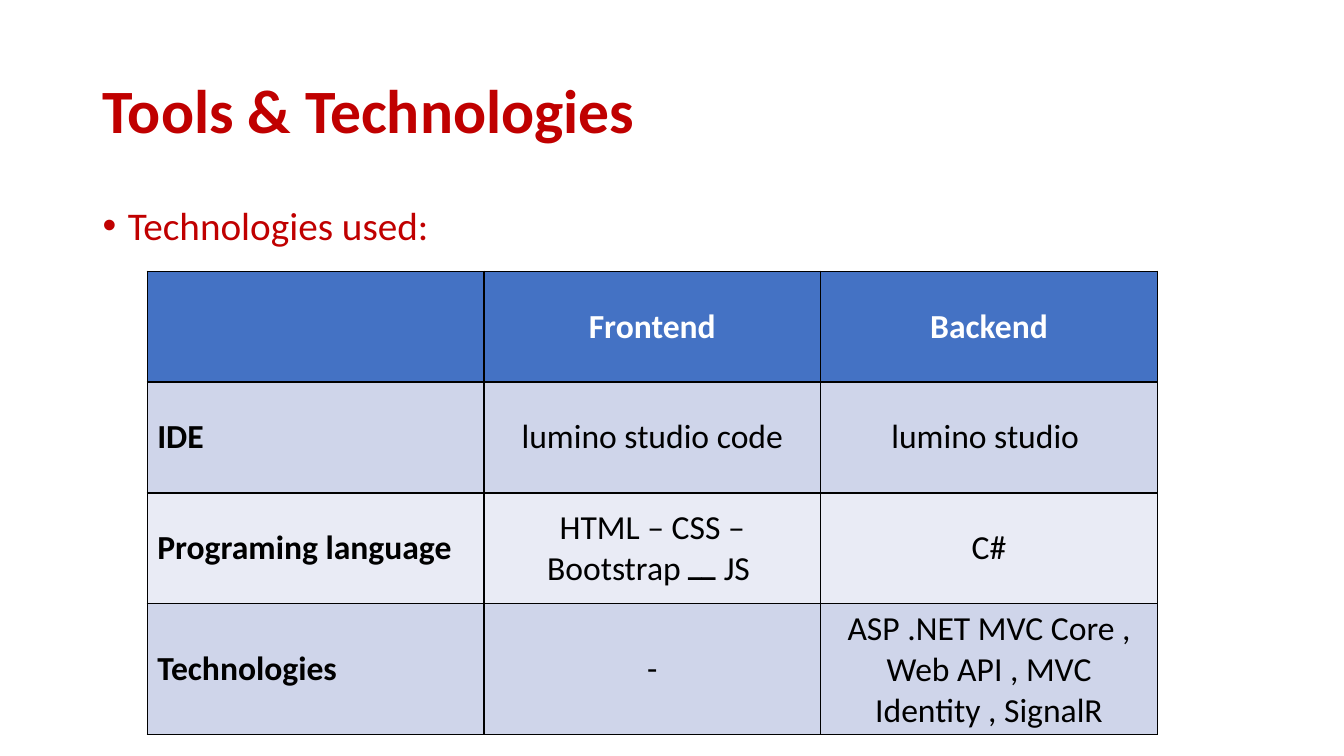
from dataclasses import dataclass

from lxml.etree import SubElement
from pptx import Presentation
from pptx.dml.color import RGBColor
from pptx.enum.text import MSO_ANCHOR, MSO_AUTO_SIZE, PP_ALIGN
from pptx.oxml.ns import qn
from pptx.util import Inches, Pt

TITLE = "Tools & Technologies"
LEAD = "Technologies used:"
ROWS = [
    ("", "Frontend", "Backend"),
    ("IDE", "lumino studio code", "lumino studio "),
    ("Programing language ", "HTML – CSS – Bootstrap \u0640\u0640 JS ", "C#"),
    ("Technologies", "-", "ASP .NET MVC Core , Web API , MVC Identity , SignalR"),
]


@dataclass(frozen=True)
class Theme:
    """Colours, font and type sizes of the slide."""
    font: str = "Calibri"
    accent: str = "C00000"
    header: str = "4472C4"
    header_text: str = "FFFFFF"
    text: str = "000000"
    border: str = "000000"
    bands: tuple = ("E9EBF5", "CFD5EA")
    title_size: int = 44
    lead_size: int = 28
    cell_size: int = 24


THEME = Theme()
LEFT, WIDTH = 0.92, 11.5
TABLE_LEFT, TABLE_TOP = 1.46, 2.69
COL_WIDTH, ROW_HEIGHT = 3.34, 1.1


def place(shape, left, top, width, height):
    """Set the position and size of a shape in inches."""
    shape.left, shape.top = Inches(left), Inches(top)
    shape.width, shape.height = Inches(width), Inches(height)


def write(tf, text, size, color, bold=False, align=PP_ALIGN.LEFT):
    """Fill a text frame with one formatted paragraph and return it."""
    tf.text = text
    p = tf.paragraphs[0]
    p.alignment = align
    for font in [p.font] + [r.font for r in p.runs]:
        font.name, font.size, font.bold = THEME.font, Pt(size), bold
        font.color.rgb = RGBColor.from_string(color)
    return p


def add_bullet(p):
    """Give a paragraph a hanging round bullet."""
    pPr = p._p.get_or_add_pPr()
    pPr.set("marL", str(Inches(0.25)))
    pPr.set("indent", str(Inches(-0.25)))
    bullet_font = pPr.makeelement(qn("a:buFont"), {"typeface": "Arial"})
    bullet = pPr.makeelement(qn("a:buChar"), {"char": "•"})
    at = pPr.index(pPr.find(qn("a:defRPr")))
    pPr[at:at] = [bullet_font, bullet]


def add_borders(cell):
    """Draw a thin line on all four sides of a cell, ahead of its fill."""
    tcPr = cell._tc.get_or_add_tcPr()
    for i, side in enumerate(("lnL", "lnR", "lnT", "lnB")):
        line = tcPr.makeelement(qn(f"a:{side}"), {"w": str(Pt(1))})
        fill = SubElement(line, qn("a:solidFill"))
        SubElement(fill, qn("a:srgbClr"), val=THEME.border)
        tcPr.insert(i, line)


def add_tools_table(s):
    """Add the table with a header row, bold labels and banded rows."""
    n_rows, n_cols = len(ROWS), len(ROWS[0])
    table = s.shapes.add_table(
        n_rows, n_cols, Inches(TABLE_LEFT), Inches(TABLE_TOP),
        Inches(n_cols * COL_WIDTH), Inches(n_rows * ROW_HEIGHT)).table
    for col in table.columns:
        col.width = Inches(COL_WIDTH)
    for i, row in enumerate(ROWS):
        table.rows[i].height = Inches(ROW_HEIGHT)
        is_header = i == 0
        band = THEME.header if is_header else THEME.bands[i % 2]
        color = THEME.header_text if is_header else THEME.text
        for j, text in enumerate(row):
            cell = table.cell(i, j)
            cell.vertical_anchor = MSO_ANCHOR.MIDDLE
            cell.fill.solid()
            cell.fill.fore_color.rgb = RGBColor.from_string(band)
            write(cell.text_frame, text, THEME.cell_size, color,
                  bold=is_header or j == 0,
                  align=PP_ALIGN.CENTER if j else PP_ALIGN.LEFT)
            add_borders(cell)


prs = Presentation()
prs.slide_width, prs.slide_height = Inches(13.33), Inches(7.5)
s = prs.slides.add_slide(prs.slide_layouts[5])

title = s.shapes.title
place(title, LEFT, 0.4, WIDTH, 1.45)
tf = title.text_frame
tf.auto_size, tf.vertical_anchor = MSO_AUTO_SIZE.NONE, MSO_ANCHOR.MIDDLE
write(tf, TITLE, THEME.title_size, THEME.accent, bold=True).line_spacing = 0.9

lead = s.shapes.add_textbox(Inches(LEFT), Inches(2), Inches(WIDTH), Inches(0.54))
lead.text_frame.word_wrap = True
p = write(lead.text_frame, LEAD, THEME.lead_size, THEME.accent)
p.line_spacing, p.space_before = 0.9, Pt(10)
add_bullet(p)

add_tools_table(s)
prs.save("out.pptx")
